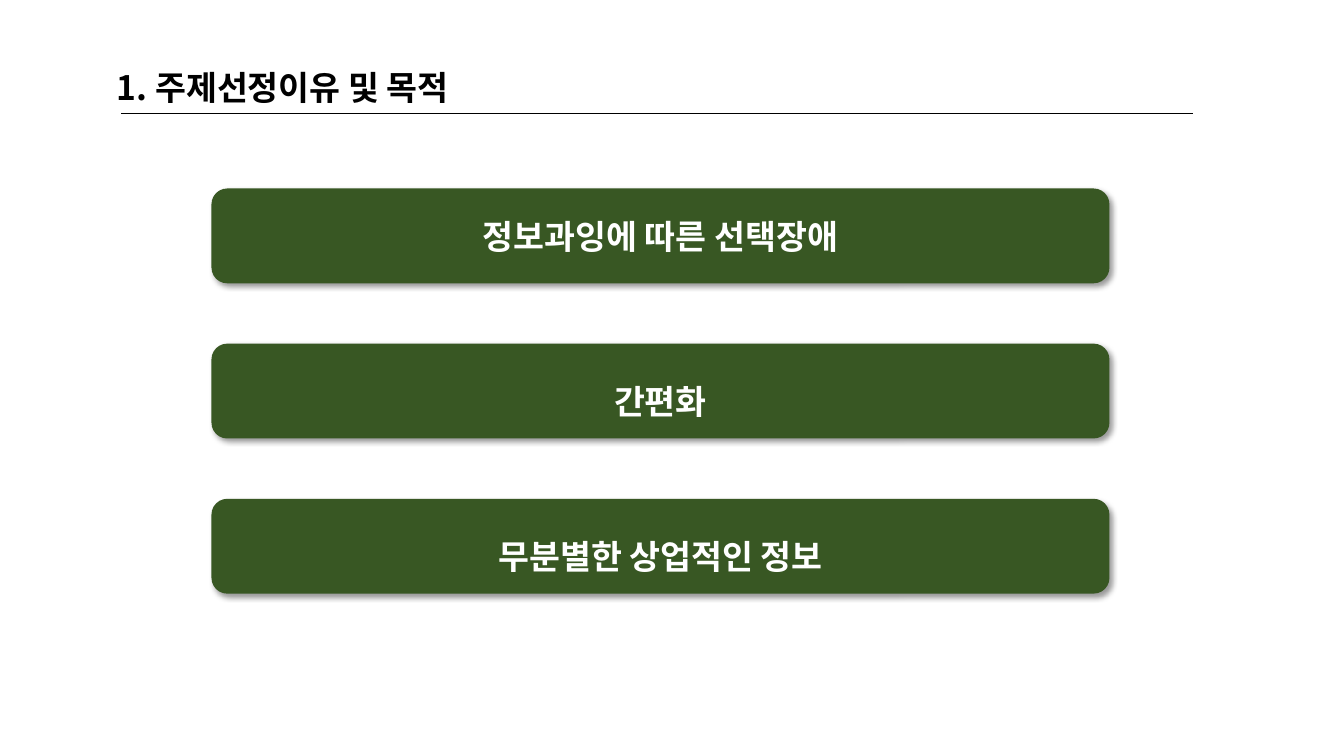
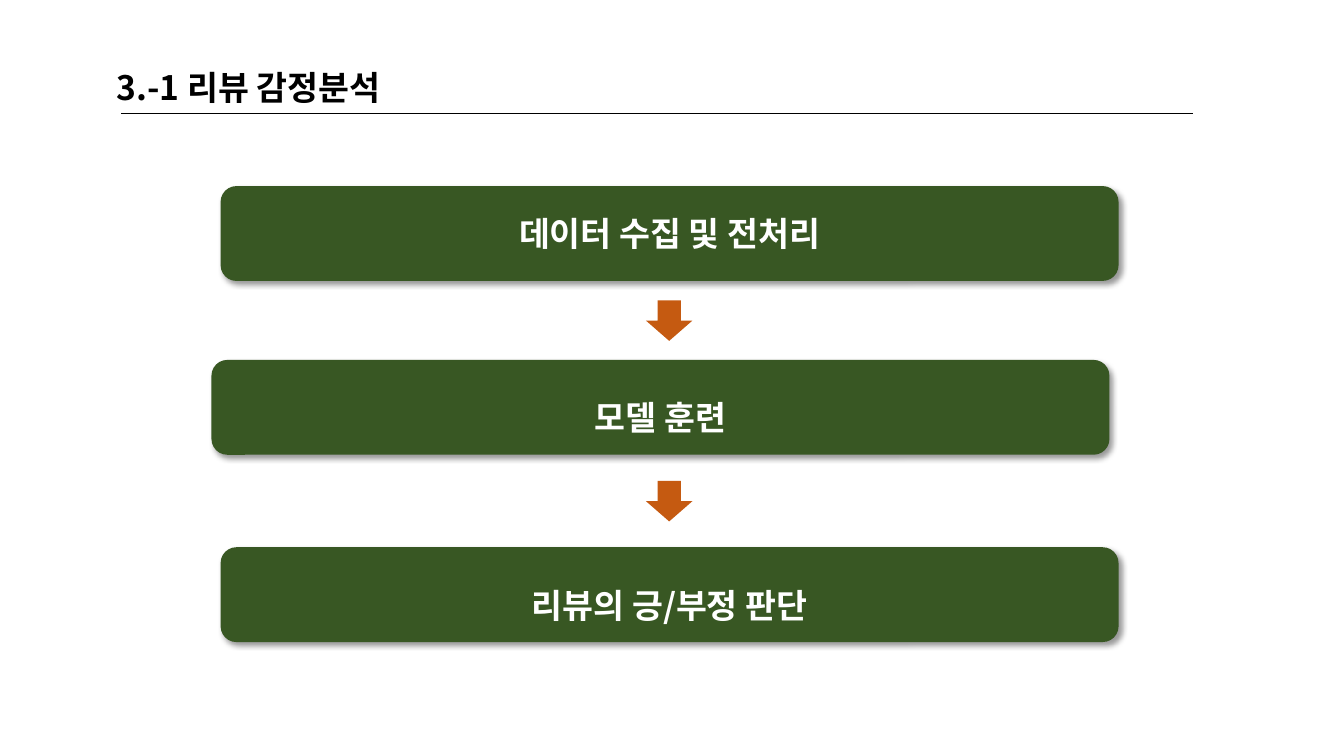
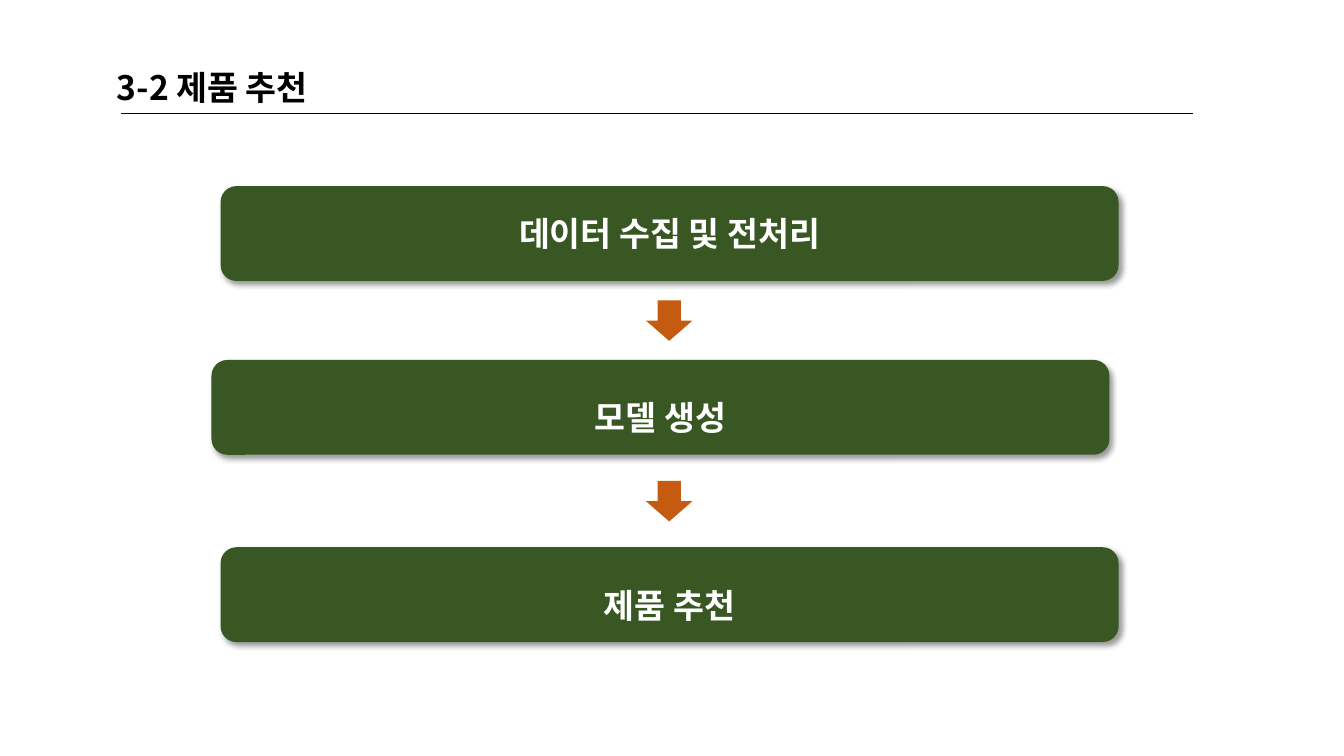
"""Build three slides of titled step bars."""
from dataclasses import dataclass
from typing import Optional

from lxml import etree
from pptx import Presentation
from pptx.dml.color import RGBColor
from pptx.enum.shapes import MSO_CONNECTOR, MSO_SHAPE
from pptx.enum.text import MSO_ANCHOR, MSO_AUTO_SIZE, PP_ALIGN
from pptx.oxml import parse_xml
from pptx.oxml.ns import nsdecls, qn
from pptx.shapes.autoshape import Shape
from pptx.slide import Slide
from pptx.text.text import TextFrame
from pptx.util import Cm, Pt

ROUNDED = MSO_SHAPE.ROUNDED_RECTANGLE
DOWN_ARROW = MSO_SHAPE.DOWN_ARROW
STRAIGHT = MSO_CONNECTOR.STRAIGHT
MIDDLE = MSO_ANCHOR.MIDDLE
NO_FIT = MSO_AUTO_SIZE.NONE
LEFT, CENTER = PP_ALIGN.LEFT, PP_ALIGN.CENTER

COLORS = {"ink": "000000", "bar": "385723", "bar_text": "FFFFFF", "arrow": "C55A11"}
FONT = "Noto Sans CJK KR"
TITLE_ONLY = 5
BAR_WIDTH, BAR_HEIGHT = 22.63, 2.39
ARROW_LEFT, ARROW_WIDTH, ARROW_HEIGHT = 16.28, 1.17, 1.02
RULE_LEFT, RULE_RIGHT, RULE_TOP = 3.05, 30.07, 2.87


@dataclass(frozen=True)
class Bar:
    """A step bar, placed in centimetres."""

    text: str
    left: float
    top: float
    spacing: float = 1.5


@dataclass(frozen=True)
class Page:
    """A title, its bars and the tops of the arrows between them."""

    title: str
    bars: tuple[Bar, ...]
    arrow_tops: tuple[float, ...] = ()


def reasons_page(title: str, first: str, *others: str) -> Page:
    """Describe a page of evenly spaced bars."""
    later = tuple(Bar(text, 5.33, 4.75 + 3.91 * step) for step, text in enumerate(others, 1))
    return Page(title, (Bar(first, 5.33, 4.75, 1.0), *later))


def process_page(title: str, model: str, result: str) -> Page:
    """Describe a three-step process that starts with data collection."""
    bars = (
        Bar("데이터 수집 및 전처리", 5.56, 4.69, 1.0),
        Bar(model, 5.33, 9.07),
        Bar(result, 5.56, 13.79),
    )
    return Page(title, bars, (7.57, 12.12))


PAGES = (
    reasons_page("1. 주제선정이유 및 목적", "정보과잉에 따른 선택장애", "간편화", "무분별한 상업적인 정보"),
    process_page("3.-1 리뷰 감정분석", "모델 훈련", "리뷰의 긍/부정 판단"),
    process_page("3-2 제품 추천", "모델 생성", "제품 추천"),
)


def write(frame: TextFrame, text: str, *, color: str, align: PP_ALIGN,
          spacing: Optional[float] = None, size: float = 24) -> None:
    """Fill a text frame with one bold, vertically centred paragraph."""
    frame.word_wrap = True
    frame.auto_size = NO_FIT
    frame.vertical_anchor = MIDDLE
    paragraph = frame.paragraphs[0]
    paragraph.alignment = align
    paragraph.line_spacing = spacing
    run = paragraph.add_run()
    run.text = text
    run.font.size = Pt(size)
    run.font.bold = True
    run.font.name = FONT
    run.font.color.rgb = RGBColor.from_string(COLORS[color])
    east_asian = etree.SubElement(run.font._element, qn("a:ea"))
    east_asian.set("typeface", FONT)


def add_block(slide: Slide, kind: MSO_SHAPE, left: float, top: float,
              width: float, height: float, color: str) -> Shape:
    """Draw a filled shape without outline or shadow."""
    block = slide.shapes.add_shape(kind, Cm(left), Cm(top), Cm(width), Cm(height))
    block.shadow.inherit = False
    block.fill.solid()
    block.fill.fore_color.rgb = RGBColor.from_string(COLORS[color])
    block.line.fill.background()
    return block


def cast_shadow(block: Shape) -> None:
    """Give a shape a soft shadow to the lower right."""
    effects = block._element.spPr.find(qn("a:effectLst"))
    effects.append(parse_xml(
        f'<a:outerShdw {nsdecls("a")} blurRad="{Pt(4)}" dist="{Pt(3)}" dir="2700000" '
        f'algn="tl" rotWithShape="0"><a:srgbClr val="{COLORS["ink"]}">'
        '<a:alpha val="40000"/></a:srgbClr></a:outerShdw>'
    ))


def add_bar(slide: Slide, bar: Bar) -> None:
    """Draw one labelled step bar."""
    block = add_block(slide, ROUNDED, bar.left, bar.top, BAR_WIDTH, BAR_HEIGHT, "bar")
    cast_shadow(block)
    write(block.text_frame, bar.text, color="bar_text", align=CENTER, spacing=bar.spacing)


def add_heading(slide: Slide, text: str) -> None:
    """Place the title and the rule under it."""
    title = slide.shapes.title
    title.left, title.top, title.width, title.height = Cm(2.69), Cm(1.55), Cm(9.4), Cm(1.27)
    write(title.text_frame, text, color="ink", align=LEFT)
    rule = slide.shapes.add_connector(
        STRAIGHT, Cm(RULE_LEFT), Cm(RULE_TOP), Cm(RULE_RIGHT), Cm(RULE_TOP))
    rule.line.color.rgb = RGBColor.from_string(COLORS["ink"])
    rule.line.width = Pt(0.75)
    etree.SubElement(rule._element.spPr, qn("a:effectLst"))


def main() -> None:
    """Build and save the deck."""
    deck = Presentation()
    deck.slide_width, deck.slide_height = Cm(33.87), Cm(19.05)
    for page in PAGES:
        slide = deck.slides.add_slide(deck.slide_layouts[TITLE_ONLY])
        add_heading(slide, page.title)
        for bar in page.bars:
            add_bar(slide, bar)
        for top in page.arrow_tops:
            add_block(slide, DOWN_ARROW, ARROW_LEFT, top, ARROW_WIDTH, ARROW_HEIGHT, "arrow")
    deck.save("out.pptx")


main()
